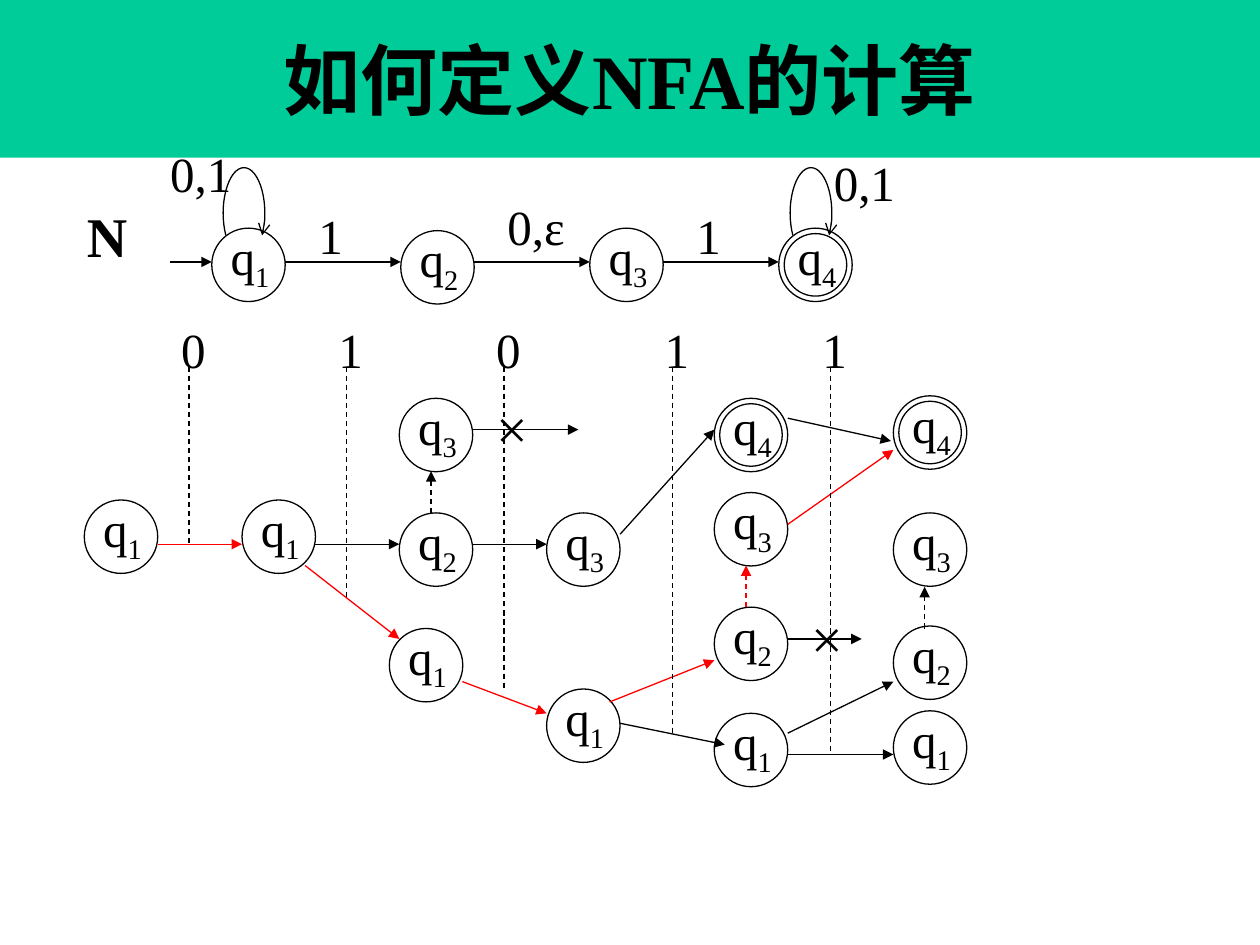
import pptx
import pptx.util
import pptx.dml.color
import pptx.enum.dml
import pptx.enum.shapes
import pptx.enum.text
import pptx.oxml.ns
import lxml.etree

Cm = pptx.util.Cm
Pt = pptx.util.Pt
SHAPE = pptx.enum.shapes.MSO_SHAPE

COLORS = {"black": "000000", "red": "FF0000", "banner": "00CC99"}
FONT = "Times New Roman"
STATE_SIZE = 1.48
RING_GAP = 0.11


class AutomatonSlide:
    def __init__(self, slide):
        self.slide = slide

    def color(self, name):
        return pptx.dml.color.RGBColor.from_string(COLORS[name])

    def style_font(self, paragraph, size, bold=False):
        paragraph.font.name = FONT
        paragraph.font.size = Pt(size)
        paragraph.font.bold = bold
        paragraph.font.color.rgb = self.color("black")

    def style_line(self, line, color="black", dashed=False):
        line.color.rgb = self.color(color)
        line.width = Pt(0.75)
        if dashed:
            line.dash_style = pptx.enum.dml.MSO_LINE.DASH

    def add_arrowhead(self, shape, kind):
        lxml.etree.SubElement(shape.line._get_or_add_ln(), pptx.oxml.ns.qn("a:tailEnd"), type=kind)

    def title(self, text):
        banner = self.slide.shapes.add_shape(SHAPE.RECTANGLE, 0, 0, Cm(25.4), Cm(3.18))
        banner.shadow.inherit = False
        banner.fill.solid()
        banner.fill.fore_color.rgb = self.color("banner")
        banner.line.fill.background()
        banner.text_frame.vertical_anchor = pptx.enum.text.MSO_ANCHOR.MIDDLE
        paragraph = banner.text_frame.paragraphs[0]
        paragraph.text = text
        paragraph.alignment = pptx.enum.text.PP_ALIGN.CENTER
        self.style_font(paragraph, 44, bold=True)

    def text(self, left, top, width, text, subscript="", size=28, bold=False):
        height = 1.45 if size == 28 else 1.6
        box = self.slide.shapes.add_textbox(Cm(left), Cm(top), Cm(width), Cm(height))
        box.text_frame.word_wrap = False
        box.text_frame.auto_size = pptx.enum.text.MSO_AUTO_SIZE.SHAPE_TO_FIT_TEXT
        paragraph = box.text_frame.paragraphs[0]
        paragraph.add_run().text = text
        if subscript:
            run = paragraph.add_run()
            run.text = subscript
            run.font._element.set("baseline", "-25000")
        self.style_font(paragraph, size, bold)

    def outline(self, preset, left, top, width, height):
        shape = self.slide.shapes.add_shape(preset, Cm(left), Cm(top), Cm(width), Cm(height))
        shape.shadow.inherit = False
        shape.fill.background()
        self.style_line(shape.line)
        return shape

    def state(self, left, top, number):
        """Draw state q with its number; q4 accepts, so it gets a second ring."""
        self.outline(SHAPE.OVAL, left, top, STATE_SIZE, STATE_SIZE)
        self.text(left + 0.13, top - 0.16, 1.35, "q", str(number))
        if number == 4:
            inner = STATE_SIZE - 2 * RING_GAP
            self.outline(SHAPE.OVAL, left + RING_GAP, top + RING_GAP, inner, inner)

    def loop(self, left, top):
        """Draw a self-transition as an arc open at the bottom."""
        arc = self.outline(SHAPE.ARC, left, top, 0.84, 1.83)
        for index, degrees in enumerate((130, 51)):
            arc.adjustments[index] = degrees * 0.6  # 60000 units a degree, scaled by 100000
        self.add_arrowhead(arc, "arrow")

    def line(self, x1, y1, x2, y2, color="black", dashed=False, arrow=True):
        connector = self.slide.shapes.add_connector(
            pptx.enum.shapes.MSO_CONNECTOR.STRAIGHT, Cm(x1), Cm(y1), Cm(x2), Cm(y2))
        self.style_line(connector.line, color, dashed)
        if arrow:
            self.add_arrowhead(connector, "triangle")
        lxml.etree.SubElement(connector._element.spPr, pptx.oxml.ns.qn("a:effectLst"))


# Computation tree: column left edge -> (top, state number)
TREE_STATES = {
    1.70: [(10.08, 1)],
    4.88: [(10.08, 1)],
    8.05: [(8.03, 3), (10.34, 2)],
    7.85: [(12.67, 1)],
    11.02: [(10.34, 3), (13.89, 1)],
    14.40: [(8.03, 4), (9.93, 3), (12.24, 2), (14.38, 1)],
    18.01: [(7.98, 4), (10.34, 3), (12.62, 2), (14.33, 1)],
}
ACCEPTING_MOVES = [
    (3.18, 10.97, 4.88, 10.97),
    (6.15, 11.40, 8.05, 12.88),
    (9.32, 13.74, 11.02, 14.38),
    (12.29, 14.15, 14.40, 13.31),
    (15.88, 10.57, 18.01, 9.07),
]
OTHER_MOVES = [
    (6.35, 10.97, 8.05, 10.97),
    (9.53, 8.66, 11.66, 8.66),
    (9.53, 10.97, 11.02, 10.97),
    (12.50, 14.58, 14.61, 15.01),
    (12.50, 10.77, 14.40, 8.66),
    (15.88, 12.88, 17.37, 12.88),
    (15.88, 15.21, 18.01, 15.21),
    (15.88, 14.78, 18.01, 13.74),
    (15.88, 8.43, 17.96, 8.89),
]
EMPTY_MOVES = [(8.69, 10.34, "black"), (15.04, 12.24, "red"), (18.64, 12.67, "black")]
DEAD_ENDS = [(9.75, 7.80), (16.10, 12.04)]
# Input symbol, x and lower end of its dashed line
INPUT_SYMBOLS = [("0", 3.81, 10.97), ("1", 6.98, 12.04), ("0", 10.16, 13.94),
                 ("1", 13.56, 14.78), ("1", 16.74, 15.21)]
# Transition labels of the state diagram: text, left, top, width
TRANSITION_LABELS = [("0,1", 3.18, 2.77, 1.75), ("1", 6.17, 4.01, 1.02),
                     ("0,ε", 9.98, 3.84, 1.68), ("1", 13.79, 4.01, 1.02),
                     ("0,1", 16.56, 2.95, 1.75)]


def draw_tree(page):
    for left, states in TREE_STATES.items():
        for top, number in states:
            page.state(left, top, number)
    for move in ACCEPTING_MOVES:
        page.line(*move, color="red")
    for move in OTHER_MOVES:
        page.line(*move)
    for x, bottom, color in EMPTY_MOVES:
        page.line(x, bottom, x, bottom - 0.84, color, dashed=True)
    for left, top in DEAD_ENDS:
        page.text(left, top, 1.65, "×", size=32)
    for symbol, x, bottom in INPUT_SYMBOLS:
        page.line(x, 7.39, x, bottom, dashed=True, arrow=False)
        page.text(x - 0.41, 6.32, 1.02, symbol)


def draw_diagram(page):
    first, step, arrow_y = 4.27, 3.81, 5.28
    page.line(3.43, arrow_y, first, arrow_y)
    for index in range(4):
        left = first + index * step
        page.state(left, 4.65 if index == 1 else 4.60, index + 1)
        if index < 3:
            page.line(left + STATE_SIZE, arrow_y, left + step, arrow_y)
        if index in (0, 3):
            page.loop(left + 0.23, 3.38)
    for label, left, top, width in TRANSITION_LABELS:
        page.text(left, top, width, label)
    page.text(1.50, 3.94, 1.32, "N", size=32, bold=True)


def main():
    presentation = pptx.Presentation()
    presentation.slide_width = Cm(25.4)
    presentation.slide_height = Cm(19.05)
    page = AutomatonSlide(presentation.slides.add_slide(presentation.slide_layouts[6]))
    page.title("如何定义NFA的计算")
    draw_tree(page)
    draw_diagram(page)
    presentation.save("out.pptx")


if __name__ == "__main__":
    main()
